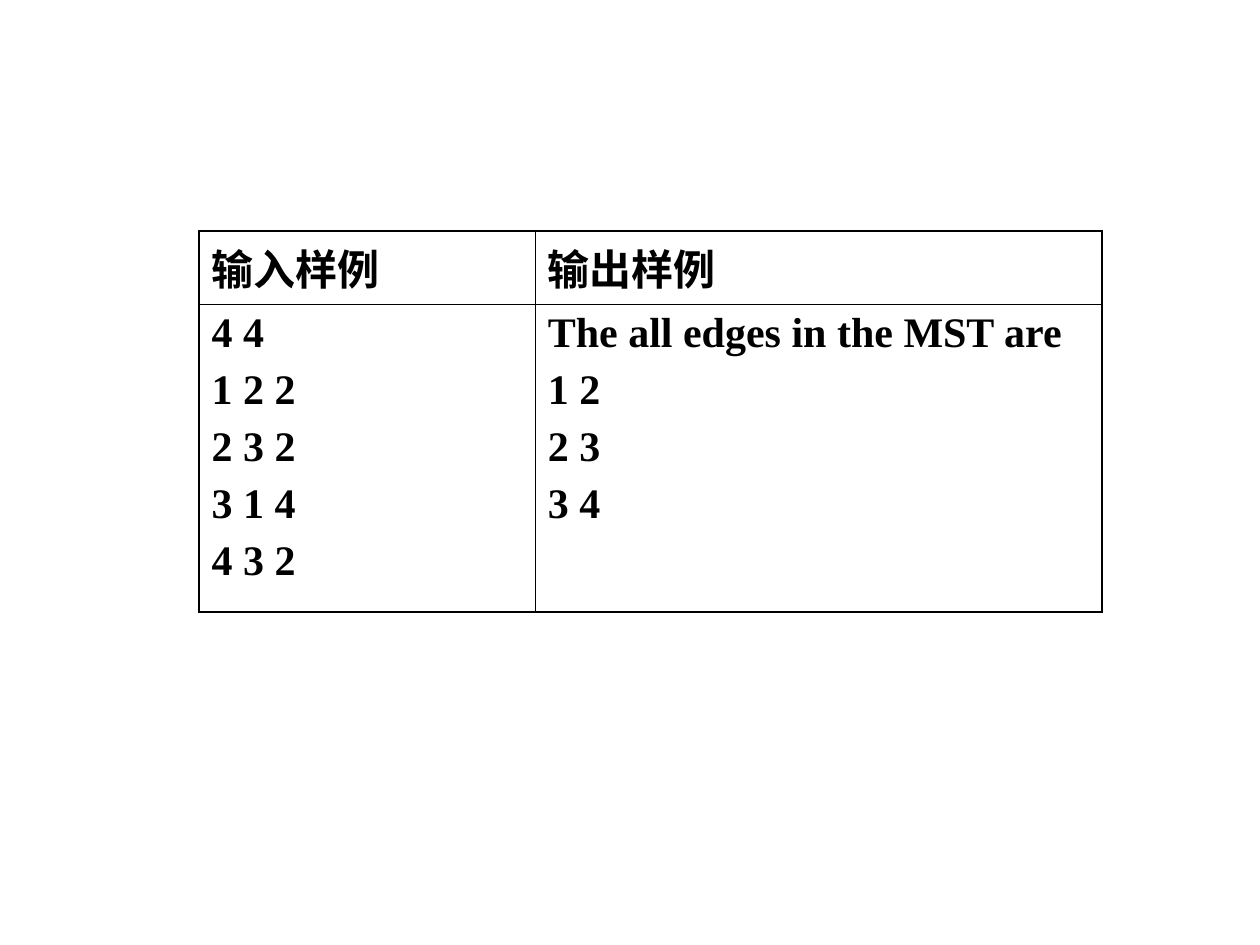
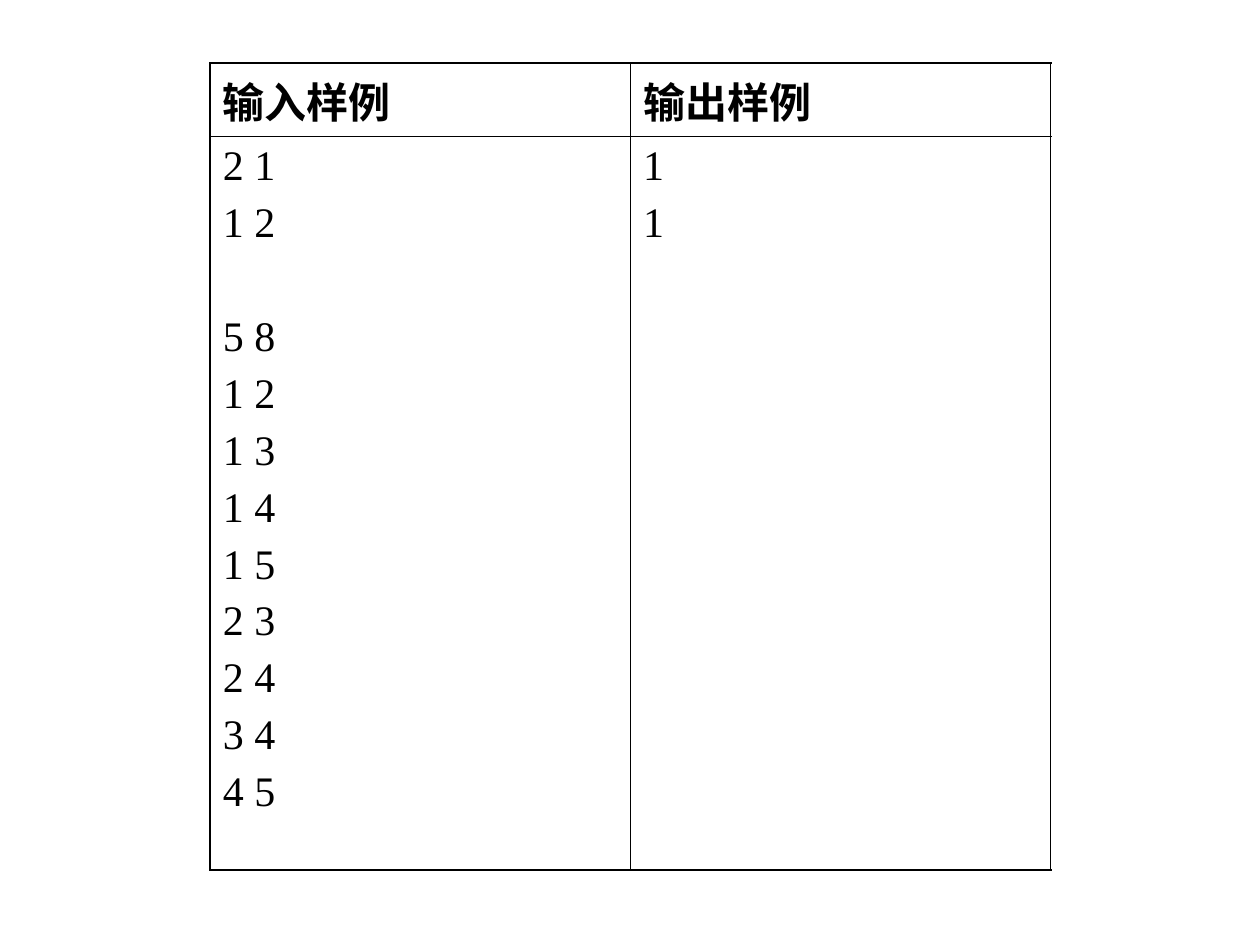
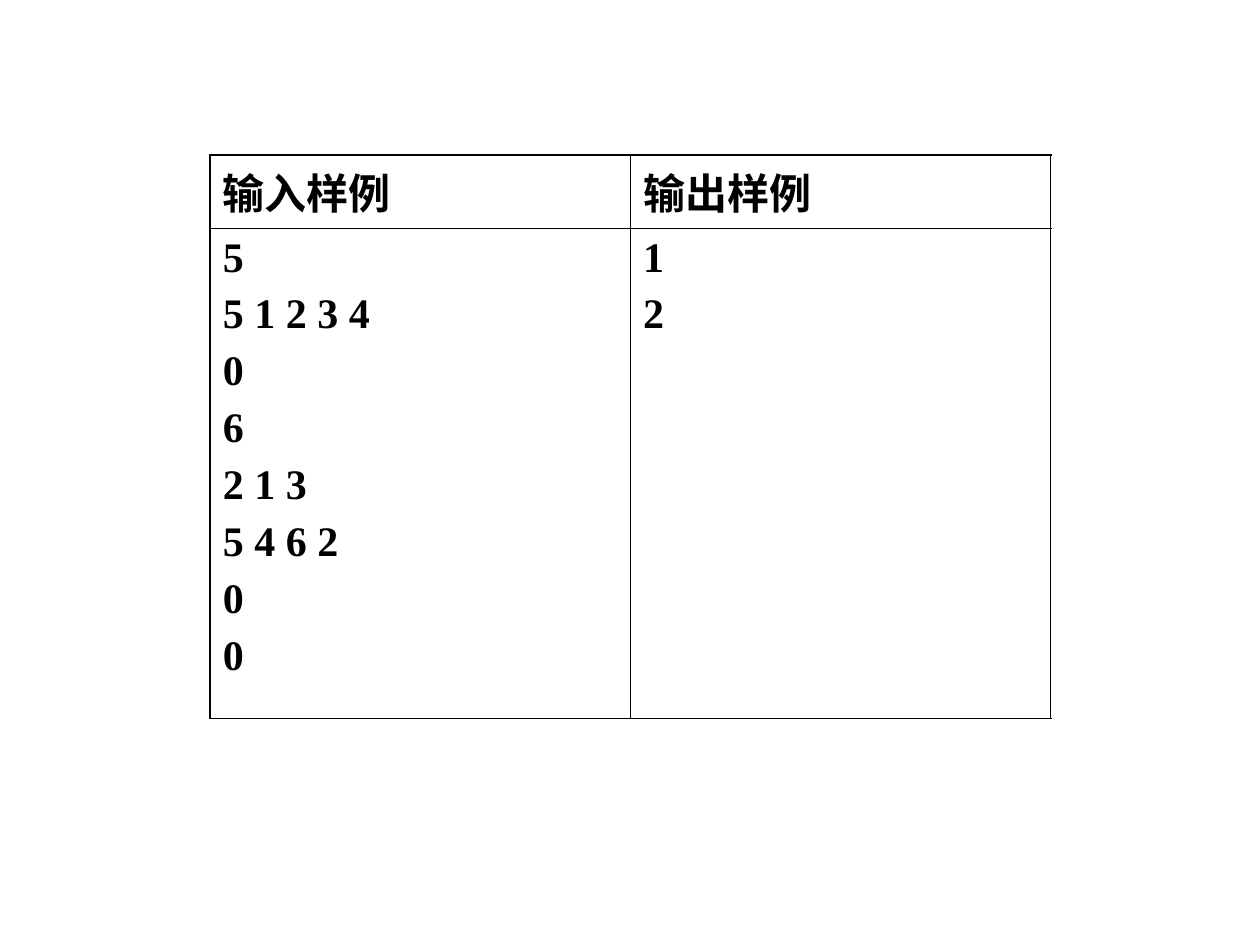
from dataclasses import dataclass

from lxml.etree import SubElement
from pptx import Presentation
from pptx.dml.color import RGBColor
from pptx.enum.text import PP_ALIGN
from pptx.oxml.ns import qn
from pptx.util import Cm, Pt


@dataclass(frozen=True)
class Theme:
    ink: str = "000000"
    head_font: str = "Noto Sans CJK SC"
    body_font: str = "Times New Roman"
    size: float = 24
    space_before: float = 6
    blank_line: float = 32.6  # one line with its spacing, in points
    outer_line: float = 1.08
    inner_line: float = 0.45


THEME = Theme()
HEADINGS = ("输入样例", "输出样例")


def set_borders(cell, row, col):
    """Heavy lines round the table, thin lines between its two rows and columns."""
    outer_sides = {"lnL": col == 0, "lnR": col == 1, "lnT": row == 0, "lnB": row == 1}
    tc_pr = cell._tc.get_or_add_tcPr()
    for tag, is_outer in outer_sides.items():
        width = THEME.outer_line if is_outer else THEME.inner_line
        ln = SubElement(tc_pr, qn(f"a:{tag}"), w=str(int(Pt(width))))
        fill = SubElement(ln, qn("a:solidFill"))
        SubElement(fill, qn("a:srgbClr"), val=THEME.ink)


def fill_cell(cell, groups, font, bold):
    """Write groups of lines; a line's height is left free between two groups."""
    tf = cell.text_frame
    tf.text = "\n".join(line for group in groups for line in group)
    group_starts = set()
    count = 0
    for group in groups[:-1]:
        count += len(group)
        group_starts.add(count)

    for i, p in enumerate(tf.paragraphs):
        p.alignment = PP_ALIGN.JUSTIFY
        gap = THEME.blank_line if i in group_starts else 0
        p.space_before = Pt(THEME.space_before + gap)
        for r in p.runs:
            r.font.name = font
            r.font.size = Pt(THEME.size)
            r.font.bold = bold
            r.font.color.rgb = RGBColor.from_string(THEME.ink)
            SubElement(r._r.get_or_add_rPr(), qn("a:ea"), typeface=font)


def add_sample_slide(prs, left, top, widths, heights, samples, bold=True):
    """Add a slide with a table of sample input and output, sizes in cm."""
    s = prs.slides.add_slide(prs.slide_layouts[6])
    table = s.shapes.add_table(2, 2, Cm(left), Cm(top),
                               Cm(sum(widths)), Cm(sum(heights))).table
    table.first_row = table.horz_banding = False
    for column, width in zip(table.columns, widths):
        column.width = Cm(width)
    for row, height in zip(table.rows, heights):
        row.height = Cm(height)

    for col, (heading, groups) in enumerate(zip(HEADINGS, samples)):
        fill_cell(table.cell(0, col), [[heading]], THEME.head_font, True)
        fill_cell(table.cell(1, col), groups, THEME.body_font, bold)
        for row in range(2):
            cell = table.cell(row, col)
            set_borders(cell, row, col)
            cell.fill.background()


def main():
    prs = Presentation()
    prs.slide_width, prs.slide_height = Cm(25.4), Cm(19.05)

    # Minimum spanning tree
    add_sample_slide(
        prs, 4.01, 4.65, (6.78, 11.43), (1.45, 6.2),
        ([["4 4", "1 2 2", "2 3 2", "3 1 4", "4 3 2"]],
         [["The all edges in the MST are", "1 2", "2 3", "3 4"]]))

    # Two graphs given as edge lists
    add_sample_slide(
        prs, 4.24, 1.27, (8.47, 8.47), (1.37, 14.78),
        ([["2 1", "1 2"],
          ["5 8", "1 2", "1 3", "1 4", "1 5", "2 3", "2 4", "3 4", "4 5"]],
         [["1", "1"]]),
        bold=False)

    # Adjacency lists ended by zero
    add_sample_slide(
        prs, 4.24, 3.12, (8.47, 8.47), (1.42, 9.88),
        ([["5", "5 1 2 3 4", "0", "6", "2 1 3", "5 4 6 2", "0", "0"]],
         [["1", "2"]]))

    prs.save("out.pptx")


if __name__ == "__main__":
    main()
